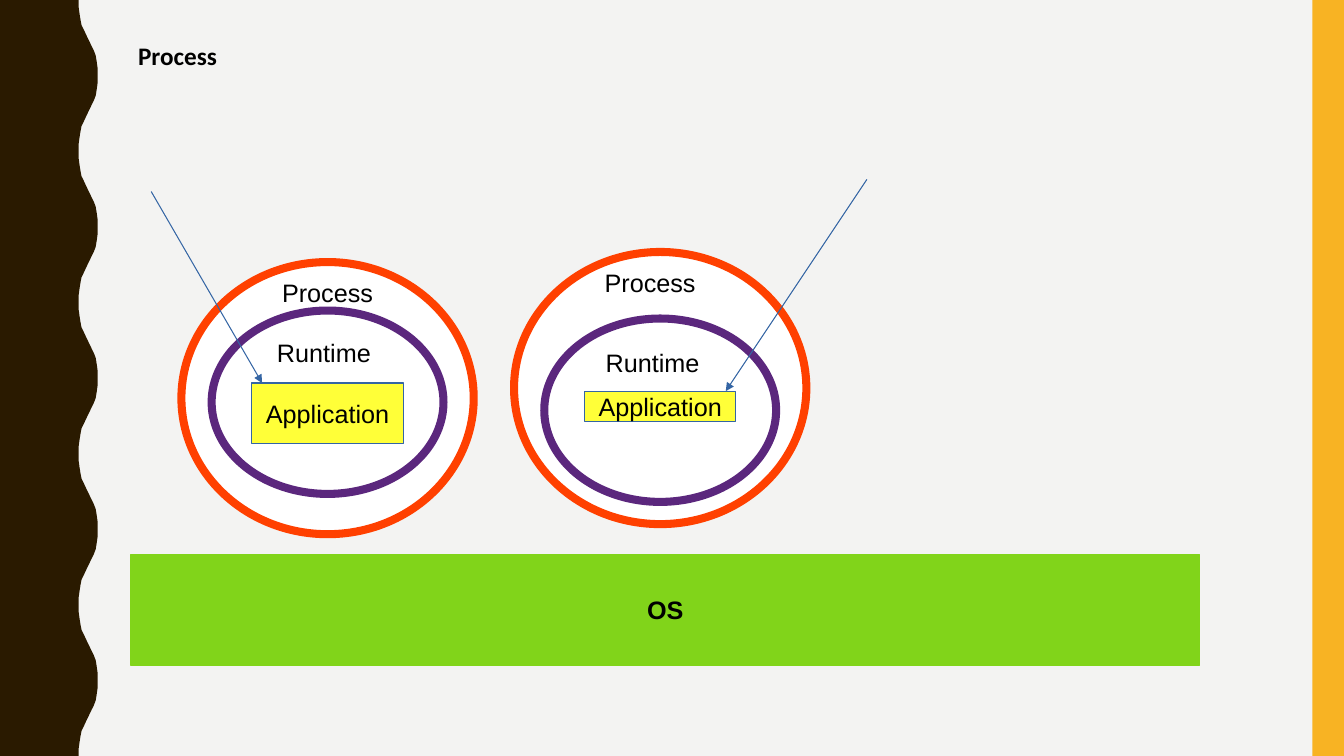
"""Build a slide showing two processes, each with a runtime and application, on an OS."""
from lxml import etree
from pptx import Presentation
from pptx.dml.color import RGBColor
from pptx.enum.shapes import MSO_CONNECTOR, MSO_SHAPE
from pptx.enum.text import MSO_ANCHOR, MSO_AUTO_SIZE, PP_ALIGN
from pptx.oxml.ns import qn
from pptx.util import Pt

PAPER = RGBColor(0xF3, 0xF3, 0xF2)
BROWN = RGBColor(0x2A, 0x1A, 0x00)
AMBER = RGBColor(0xF8, 0xB3, 0x23)
WHITE = RGBColor(0xFF, 0xFF, 0xFF)
BLACK = RGBColor(0x00, 0x00, 0x00)
ORANGE = RGBColor(0xFF, 0x40, 0x00)
PURPLE = RGBColor(0x5B, 0x27, 0x7D)
YELLOW = RGBColor(0xFF, 0xFF, 0x38)
BLUE = RGBColor(0x34, 0x65, 0xA4)
GREEN = RGBColor(0x81, 0xD4, 0x1A)


def add_block(shapes, kind, bounds, fill, line=None, weight=0.75):
    block = shapes.add_shape(kind, *map(Pt, bounds))
    block.shadow.inherit = False
    block.fill.solid()
    block.fill.fore_color.rgb = fill
    if line is None:
        block.line.fill.background()
    else:
        block.line.color.rgb = line
        block.line.width = Pt(weight)
    return block


def write(box, text, align=PP_ALIGN.CENTER, wrap=False, bold=False, font="Arial"):
    box.text_frame.word_wrap = wrap
    para = box.text_frame.paragraphs[0]
    para.alignment = align
    span = para.add_run()
    span.text = text
    span.font.name = font
    span.font.size = Pt(18)
    span.font.bold = bold
    span.font.color.rgb = BLACK


deck = Presentation()
deck.slide_width, deck.slide_height = Pt(960), Pt(540)
page = deck.slides.add_slide(deck.slide_layouts[5])
page.background.fill.solid()
page.background.fill.fore_color.rgb = PAPER

rise = [(56.2, 0), (56.2, 5), (56.9, 10), (57.6, 14.4), (58.3, 18), (59.8, 21),
        (61.2, 24), (62.6, 27), (64.1, 30), (65.5, 33), (67, 36), (68.4, 39.6),
        (69.1, 43.9), (69.8, 49), (69.8, 54)]
wave = rise + [(x, 108 - y) for x, y in reversed(rise[:-1])]
edge = [(x, y + 108 * period) for period in range(5) for x, y in wave]
builder = page.shapes.build_freeform(0, 0)
builder.add_line_segments([(Pt(x), Pt(y)) for x, y in edge + [(0, 540)]], close=True)
border = builder.convert_to_shape()
border.shadow.inherit = False
border.fill.solid()
border.fill.fore_color.rgb = BROWN
border.line.fill.background()
add_block(page.shapes, MSO_SHAPE.RECTANGLE, (937.5, 0, 22.5, 540), AMBER)

title = page.shapes.title
title.left, title.top, title.width, title.height = Pt(98.6), Pt(0), Pt(569), Pt(78.8)
frame = title.text_frame
frame.auto_size = MSO_AUTO_SIZE.NONE
frame.vertical_anchor = MSO_ANCHOR.MIDDLE
frame.margin_left = frame.margin_top = frame.margin_right = frame.margin_bottom = 0
write(title, "Process", PP_ALIGN.LEFT, True, True, "Calibri")

processes = [
    ((129.6, 187.2), (151.2, 221.8), (180, 273.6, 108, 43.2), (194.4, 194.4), (190.8, 237.6)),
    ((367.2, 180), (388.8, 227.5), (417.6, 279.4, 108, 21.6), (424.8, 187.2), (425.5, 244.8)),
]
for outer, inner, application, process_label, runtime_label in processes:
    group = page.shapes.add_group_shape()
    add_block(group.shapes, MSO_SHAPE.OVAL, (*outer, 208.8, 194.4), WHITE, ORANGE, 5.75)
    add_block(group.shapes, MSO_SHAPE.OVAL, (*inner, 165.6, 131), WHITE, PURPLE, 5.75)
    box = add_block(group.shapes, MSO_SHAPE.RECTANGLE, application, YELLOW, BLUE)
    write(box, "Application")
    for text, corner in (("Process", process_label), ("Runtime", runtime_label)):
        label = group.shapes.add_textbox(*map(Pt, (*corner, 86, 27.4)))
        write(label, text, PP_ALIGN.LEFT, True)

for ends in ((108, 136.8, 187.2, 273.6), (619.2, 128.2, 518.4, 279.4)):
    arrow = page.shapes.add_connector(MSO_CONNECTOR.STRAIGHT, *map(Pt, ends))
    arrow.line.color.rgb = BLUE
    arrow.line.width = Pt(0.75)
    etree.SubElement(arrow.line._get_or_add_ln(), qn("a:tailEnd"), type="triangle")
    etree.SubElement(arrow._element.spPr, qn("a:effectLst"))

system = add_block(page.shapes, MSO_SHAPE.RECTANGLE, (93.6, 396, 763.2, 79.2), GREEN, GREEN)
write(system, "OS", bold=True)

deck.save("out.pptx")
